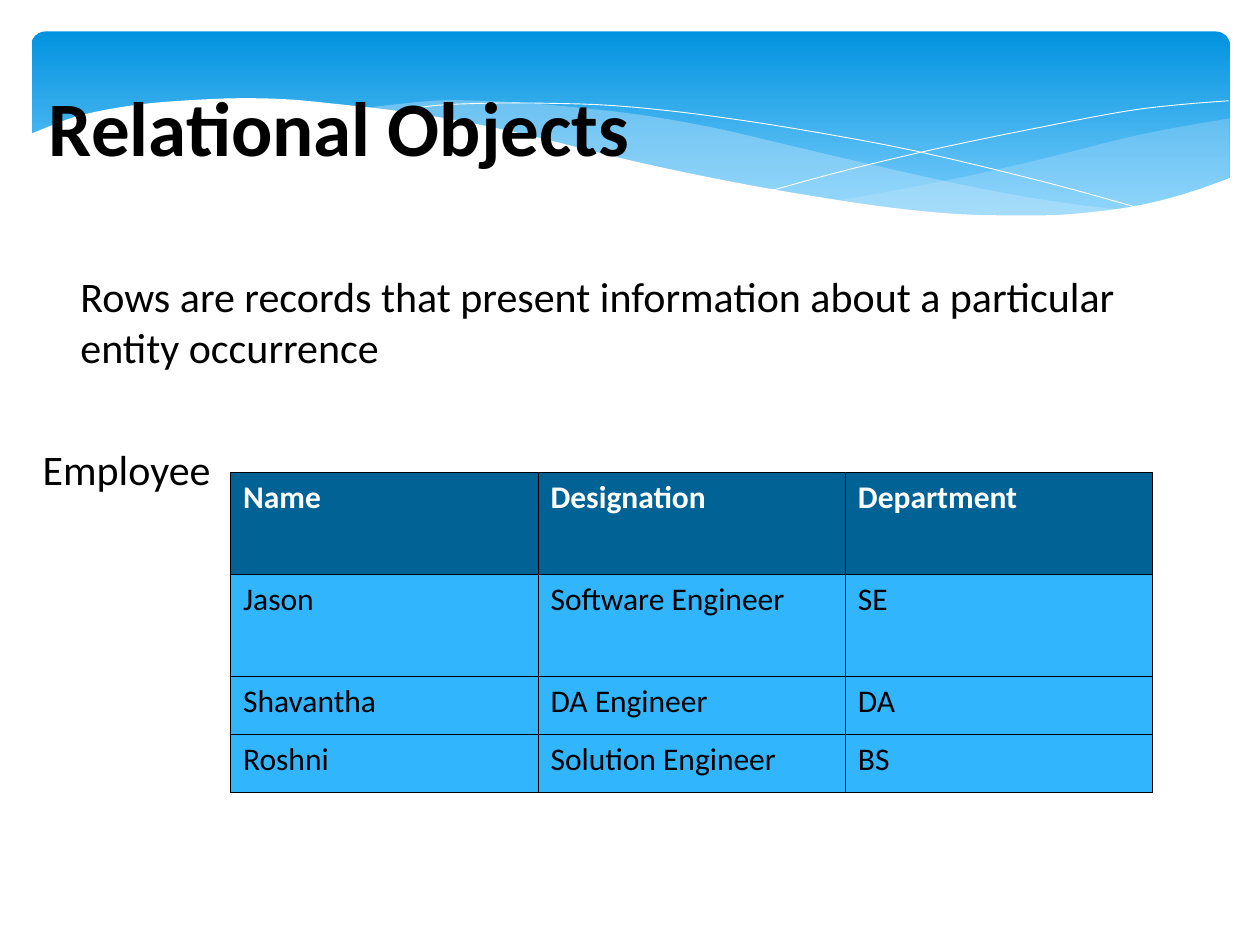
from lxml.etree import SubElement
from pptx import Presentation
from pptx.dml.color import RGBColor as Rgb
from pptx.enum.shapes import MSO_SHAPE as Shape
from pptx.enum.text import MSO_ANCHOR as Anchor
from pptx.oxml import parse_xml
from pptx.oxml.ns import nsdecls, qn
from pptx.util import Inches, Pt

COLUMNS, ROWS = 10, 7.5  # one grid unit is one inch
FONT = "Calibri"
COLORS = {
    "band top": "0293E0", "band bottom": "83D3FE", "wave": "C6E7FC",
    "white": "FFFFFF", "black": "000000",
    "header": "016296", "row": "31B6FD",
}

# Points that each curve passes through, in grid units
RIGHT_WAVE_TOP = [(9.76, 0.94), (9.35, 1.01), (8.91, 1.1), (8.32, 1.25),
                  (7.53, 1.43), (6.61, 1.6)]
RIGHT_WAVE_BOTTOM = [(6.61, 1.6), (7.18, 1.67), (7.69, 1.71), (8.14, 1.72),
                     (8.54, 1.7), (8.97, 1.65), (9.35, 1.56), (9.76, 1.41)]
LONG_WAVE_TOP = [(8.93, 1.67), (8.37, 1.6), (7.75, 1.49), (7.06, 1.34),
                 (6.29, 1.16), (5.69, 1.02), (5.14, 0.92), (4.64, 0.86),
                 (4.2, 0.82), (3.8, 0.8), (3.44, 0.8), (2.86, 0.86)]
LONG_WAVE_BOTTOM = [(2.86, 0.86), (3.42, 0.94), (4.04, 1.06), (4.91, 1.26),
                    (5.66, 1.43), (6.34, 1.56), (6.95, 1.65), (7.48, 1.7),
                    (7.96, 1.73), (8.48, 1.72), (8.93, 1.67)]
FALLING_LINE = [(3.09, 0.9), (3.43, 0.84), (3.87, 0.82), (4.33, 0.82),
                (4.89, 0.84), (5.56, 0.91), (6.36, 1.03), (7.27, 1.2),
                (8.31, 1.45), (9.07, 1.66)]
RISING_LINE = [(6.13, 1.51), (6.72, 1.35), (7.48, 1.17), (8.36, 0.99),
               (8.95, 0.88), (9.37, 0.83), (9.75, 0.8)]
WHITE_EDGE = [(9.77, 1.41), (9.4, 1.54), (8.99, 1.64), (8.5, 1.7),
              (8.09, 1.71), (7.61, 1.7), (7.08, 1.65), (6.47, 1.56),
              (5.79, 1.44), (5.03, 1.28), (4.18, 1.07), (3.65, 0.96),
              (3.15, 0.88), (2.71, 0.83), (2.3, 0.79), (1.93, 0.78),
              (1.61, 0.79), (1.19, 0.82), (0.85, 0.87), (0.59, 0.93),
              (0.4, 1), (0.23, 1.07)]

EMPLOYEES = [
    ["Name", "Designation", "Department"],
    ["Jason", "Software Engineer", "SE"],
    ["Shavantha", "DA Engineer", "DA"],
    ["Roshni", "Solution Engineer", "BS"],
]


def color(name):
    return Rgb.from_string(COLORS[name])


def smooth_curve(anchors, steps=4):
    """Catmull-Rom points through the anchors."""
    padded = [anchors[0], *anchors, anchors[-1]]
    points = []
    for a, b, c, d in zip(padded, padded[1:], padded[2:], padded[3:]):
        for step in range(steps):
            t = step / steps
            points.append(tuple(
                q + t / 2 * (r - p + t * (2 * p - 5 * q + 4 * r - s
                                          + t * (3 * (q - r) + s - p)))
                for p, q, r, s in zip(a, b, c, d)))
    return points + [anchors[-1]]


def add_outline(slide, points, closed):
    points = [(Inches(x), Inches(y)) for x, y in points]
    builder = slide.shapes.build_freeform(*points[0])
    builder.add_line_segments(points[1:], close=closed)
    shape = builder.convert_to_shape()
    shape.shadow.inherit = False
    return shape


def add_wave(slide, points, fill, opacity=100):
    shape = add_outline(slide, points, True)
    shape.fill.solid()
    shape.fill.fore_color.rgb = color(fill)
    shape.line.fill.background()
    if opacity < 100:
        value = next(shape.element.spPr.iter(qn("a:srgbClr")))
        SubElement(value, qn("a:alpha"), val=str(opacity * 1000))


def add_hairline(slide, anchors):
    shape = add_outline(slide, smooth_curve(anchors), False)
    shape.fill.background()
    shape.line.color.rgb = color("white")
    shape.line.width = Pt(0.5)


def add_band(slide):
    band = slide.shapes.add_shape(Shape.ROUNDED_RECTANGLE, Inches(0.25), Inches(0.25),
                                  Inches(9.51), Inches(1.56))
    band.adjustments[0] = 0.07
    band.shadow.inherit = False
    band.line.fill.background()
    band.fill.gradient()
    band.fill.gradient_angle = 270
    for stop, name in zip(band.fill.gradient_stops, ("band top", "band bottom")):
        stop.color.rgb = color(name)


def add_run(paragraph, text, size, name="black", bold=False):
    run = paragraph.add_run()
    run.text = text
    run.font.name = FONT
    run.font.size = Pt(size)
    run.font.bold = bold
    run.font.color.rgb = color(name)


def add_text_frame(slide, left, top, width, height):
    box = slide.shapes.add_textbox(*map(Inches, (left, top, width, height)))
    box.text_frame.word_wrap = True
    return box.text_frame


def add_borders(cell):
    properties = cell._tc.get_or_add_tcPr()
    for index, side in enumerate("LRTB"):
        properties.insert(index, parse_xml(
            f'<a:ln{side} {nsdecls("a")} w="{Pt(0.45)}"><a:solidFill>'
            f'<a:srgbClr val="{COLORS["black"]}"/></a:solidFill></a:ln{side}>'))


def add_table(slide, records, left, top, column_width, row_heights):
    table = slide.shapes.add_table(
        len(records), len(records[0]), Inches(left), Inches(top),
        Inches(column_width * len(records[0])), Inches(sum(row_heights))).table
    table.horz_banding = False
    for column in table.columns:
        column.width = Inches(column_width)
    for index, (record, height) in enumerate(zip(records, row_heights)):
        header = index == 0
        table.rows[index].height = Inches(height)
        for cell, text in zip(table.rows[index].cells, record):
            cell.fill.solid()
            cell.fill.fore_color.rgb = color("header" if header else "row")
            add_borders(cell)
            add_run(cell.text_frame.paragraphs[0], text, 18,
                    "white" if header else "black", header)


def main():
    presentation = Presentation()
    presentation.slide_width, presentation.slide_height = Inches(COLUMNS), Inches(ROWS)
    slide = presentation.slides.add_slide(presentation.slide_layouts[6])

    # Wavy header
    add_band(slide)
    add_wave(slide, smooth_curve(RIGHT_WAVE_TOP) + smooth_curve(RIGHT_WAVE_BOTTOM),
             "wave", 29)
    add_wave(slide, smooth_curve(LONG_WAVE_TOP) + smooth_curve(LONG_WAVE_BOTTOM),
             "wave", 40)
    add_hairline(slide, FALLING_LINE)
    add_hairline(slide, RISING_LINE)
    add_wave(slide, smooth_curve(WHITE_EDGE) + [(0.23, 2.24), (9.77, 2.24)], "white")

    # Title
    title = add_text_frame(slide, 0.29, 0.56, 9, 0.88)
    title.vertical_anchor = Anchor.MIDDLE
    add_run(title.paragraphs[0], "Relational Objects", 44, bold=True)

    # Explanation and table label
    body = add_text_frame(slide, 0.24, 2.1, 9, ROWS - 2.1)
    explanation = body.paragraphs[0]
    explanation._p.get_or_add_pPr().set("marL", str(Inches(0.3)))
    add_run(explanation, "Rows are records that present information about "
            "a particular entity occurrence", 24)
    label = body.add_paragraph()
    label.space_before = Pt(41)
    add_run(label, "Employee", 24)

    # Employee records
    add_table(slide, EMPLOYEES, 1.83, 3.75, 2.44, [0.81, 0.81, 0.46, 0.46])

    presentation.save("out.pptx")


if __name__ == "__main__":
    main()
